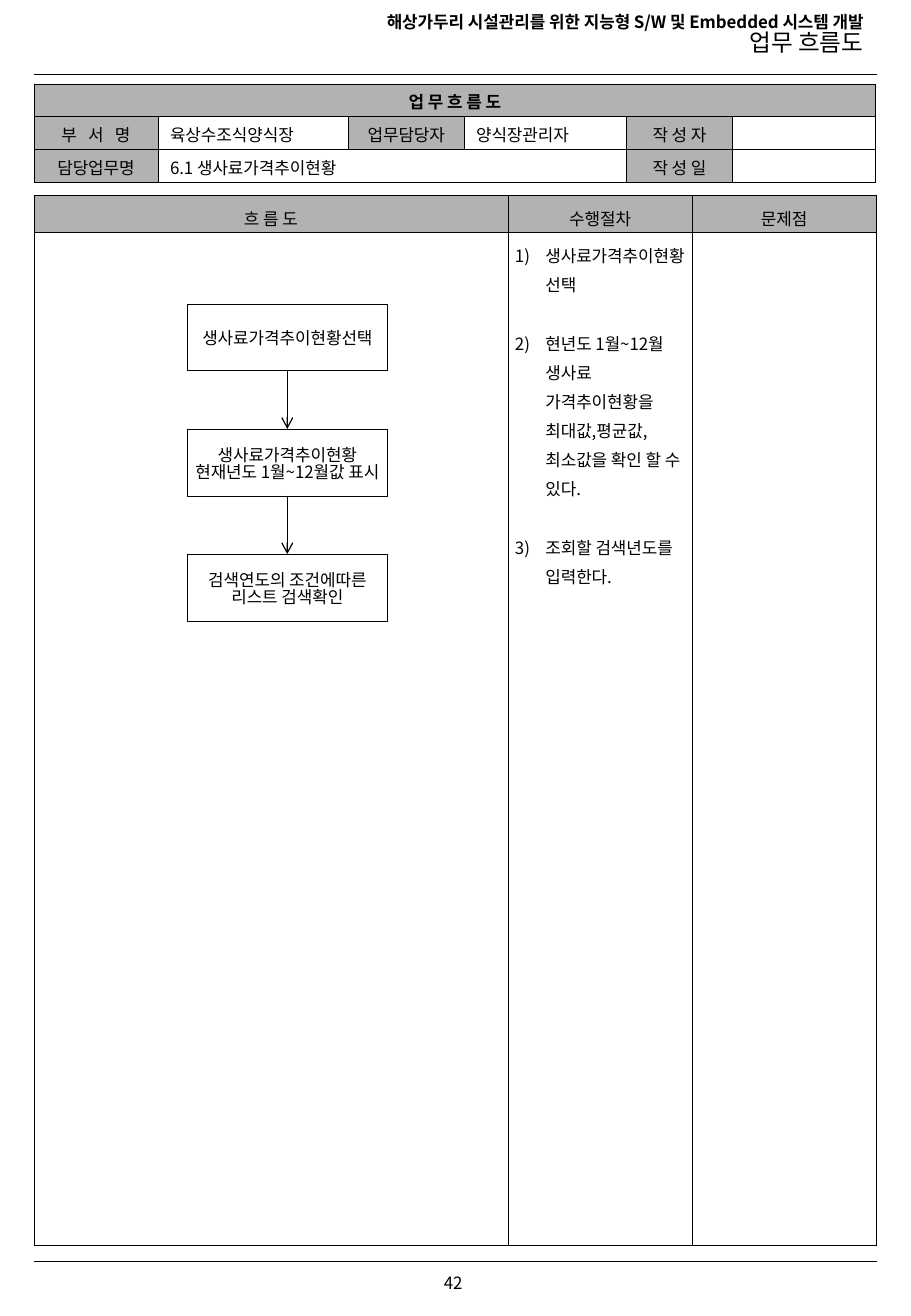
from lxml.etree import SubElement as Sub
from pptx import Presentation
from pptx.dml.color import RGBColor as Rgb
from pptx.enum.shapes import MSO_CONNECTOR as Link, MSO_SHAPE as Kind
from pptx.enum.text import MSO_ANCHOR as Anchor, MSO_AUTO_SIZE as Fit, PP_ALIGN as Align
from pptx.oxml.ns import qn
from pptx.util import Inches, Pt

FONT = "Noto Sans CJK KR"
HUES = {"ink": "000000", "label": "B2B2B2"}
WIDE, HIGH = 7.5, 10.83
EDGE = 0.28
THIN = 0.25

HEAD = ["해상가두리 시설관리를 위한 지능형 S/W 및 Embedded 시스템 개발", "업무 흐름도"]
PAGE = "42"
# row, column, columns spanned, text, is a label
FORM = [
    (0, 0, 6, "업 무 흐 름 도", True),
    (1, 0, 1, "부   서   명", True),
    (1, 1, 1, "육상수조식양식장", False),
    (1, 2, 1, "업무담당자", True),
    (1, 3, 1, "양식장관리자", False),
    (1, 4, 1, "작 성 자", True),
    (2, 0, 1, "담당업무명", True),
    (2, 1, 3, "6.1 생사료가격추이현황", False),
    (2, 4, 1, "작 성 일", True),
]
FORM_COLS = [1.02, 1.57, 0.95, 1.34, 0.87, 1.18]
FORM_ROWS = [0.27] * 3
PLAN = ["흐 름 도", "수행절차", "문제점"]
PLAN_COLS = [3.9, 1.52, 1.51]
PLAN_ROWS = [0.3, 8.34]
TASKS = [
    "생사료가격추이현황선택",
    "현년도 1월~12월 생사료 가격추이현황을 최대값,평균값,최소값을 확인 할 수 있다.",
    "조회할 검색년도를 입력한다.",
]
STEPS = [
    ["생사료가격추이현황선택"],
    ["생사료가격추이현황", "현재년도 1월~12월값 표시"],
    ["검색연도의 조건에따른", "리스트 검색확인"],
]
BOX_X, BOX_Y, BOX_W, BOX_H, PITCH = 1.54, 2.5, 1.65, 0.55, 1.03


def hue(name):
    """Return a named colour."""
    return Rgb.from_string(HUES[name])


def write(frame, lines, align, sizes=(10,), bold=False, space=None):
    """Put lines of text in a frame and format their runs."""
    frame.text = "\n".join(lines)
    for i, para in enumerate(frame.paragraphs):
        para.alignment = align
        para.line_spacing = space
        for run in para.runs:
            font = run.font
            font.name, font.size = FONT, Pt(sizes[i % len(sizes)])
            font.bold = bold and i == 0
            font.color.rgb = hue("ink")
            Sub(run._r.get_or_add_rPr(), qn("a:ea"), typeface=FONT)


def pad(frame, left, top, right, low):
    """Set the inner margins of a frame or cell in inches."""
    frame.margin_left, frame.margin_top = Inches(left), Inches(top)
    frame.margin_right, frame.margin_bottom = Inches(right), Inches(low)


def rule(x1, y1, x2, y2, width, arrow=False):
    """Draw a straight line, with an arrowhead if asked."""
    link = shapes.add_connector(Link.STRAIGHT, *map(Inches, (x1, y1, x2, y2)))
    link.line.color.rgb, link.line.width = hue("ink"), Pt(width)
    if arrow:
        Sub(link.line._get_or_add_ln(), qn("a:tailEnd"), type="arrow")
    Sub(link._element.spPr, qn("a:effectLst"))


def frame_cell(cell):
    """Give a cell thin borders, no fill and a small empty line."""
    props = cell._tc.get_or_add_tcPr()
    for side in "LRTB":
        line = Sub(props, qn("a:ln" + side), w=str(Pt(THIN)))
        Sub(Sub(line, qn("a:solidFill")), qn("a:srgbClr"), val=HUES["ink"])
    cell.fill.background()
    para = cell.text_frame.paragraphs[0]._p
    Sub(para, qn("a:endParaRPr"), sz="1000")


def grid(top, cols, rows):
    """Add a plain ruled table at the left edge."""
    area = map(Inches, (EDGE, top, sum(cols), sum(rows)))
    table = shapes.add_table(len(rows), len(cols), *area).table
    table.first_row = table.horz_banding = False
    for col, width in zip(table.columns, cols):
        col.width = Inches(width)
    for row, height in zip(table.rows, rows):
        row.height = Inches(height)
    for cell in table.iter_cells():
        frame_cell(cell)
        pad(cell, 0.06, 0.05, 0.06, 0)
    return table


def shade(cell):
    """Fill a label cell."""
    cell.fill.solid()
    cell.fill.fore_color.rgb = hue("label")


deck = Presentation()
deck.slide_width, deck.slide_height = Inches(WIDE), Inches(HIGH)
slide = deck.slides.add_slide(deck.slide_layouts[5])
shapes = slide.shapes

# Header and footer
title = shapes.title
title.left, title.top, title.width, title.height = map(Inches, (2.33, 0.07, 4.88, 0.51))
frame = title.text_frame
frame.auto_size, frame.vertical_anchor, frame.word_wrap = Fit.NONE, Anchor.TOP, True
pad(frame, 0.1, 0.05, 0.1, 0.05)
write(frame, HEAD, Align.RIGHT, (10, 14), True, 0.85)
for y in (0.61, 10.38):
    rule(EDGE, y, WIDE - EDGE, y, THIN)
frame = shapes.add_textbox(*map(Inches, (3.32, 10.34, 0.82, 0.44))).text_frame
frame.vertical_anchor, frame.word_wrap = Anchor.MIDDLE, True
pad(frame, 0, 0, 0, 0)
write(frame, [PAGE], Align.CENTER)

# Form with department and task
form = grid(0.69, FORM_COLS, FORM_ROWS)
for row, col, span, text, label in FORM:
    cell = form.cell(row, col)
    if span > 1:
        cell.merge(form.cell(row, col + span - 1))
    pad(cell, 0.1, 0.02, 0.1, 0)
    cell.vertical_anchor = Anchor.MIDDLE
    write(cell.text_frame, [text], Align.CENTER if label else Align.LEFT, bold=row == 0)
    if label:
        shade(cell)

# Plan with flow, procedure and issues
plan = grid(1.61, PLAN_COLS, PLAN_ROWS)
for col, text in enumerate(PLAN):
    write(plan.cell(0, col).text_frame, [text], Align.CENTER, space=1.2)
    shade(plan.cell(0, col))
frame = plan.cell(1, 1).text_frame
write(frame, TASKS, Align.LEFT, space=1.2)
for i, para in enumerate(frame.paragraphs):
    para.space_before = Pt(17.4 if i else 0)
    props = para._p.get_or_add_pPr()
    props.set("marL", str(Inches(0.25)))
    props.set("indent", str(Inches(-0.25)))
    Sub(props, qn("a:buFont"), typeface=FONT)
    Sub(props, qn("a:buAutoNum"), type="arabicParenR")

# Flow of steps
for i, lines in enumerate(STEPS):
    y = BOX_Y + i * PITCH
    box = shapes.add_shape(Kind.FLOWCHART_PROCESS, *map(Inches, (BOX_X, y, BOX_W, BOX_H)))
    box.shadow.inherit = False
    box.fill.background()
    box.line.color.rgb, box.line.width = hue("ink"), Pt(THIN)
    frame = box.text_frame
    frame.word_wrap, frame.vertical_anchor = False, Anchor.MIDDLE
    pad(frame, 0.1, 0.04, 0.1, 0)
    write(frame, lines, Align.CENTER, space=0.82)
    if i:
        mid = BOX_X + BOX_W / 2
        rule(mid, y - PITCH + BOX_H, mid, y, 0.75, True)

deck.save("out.pptx")
